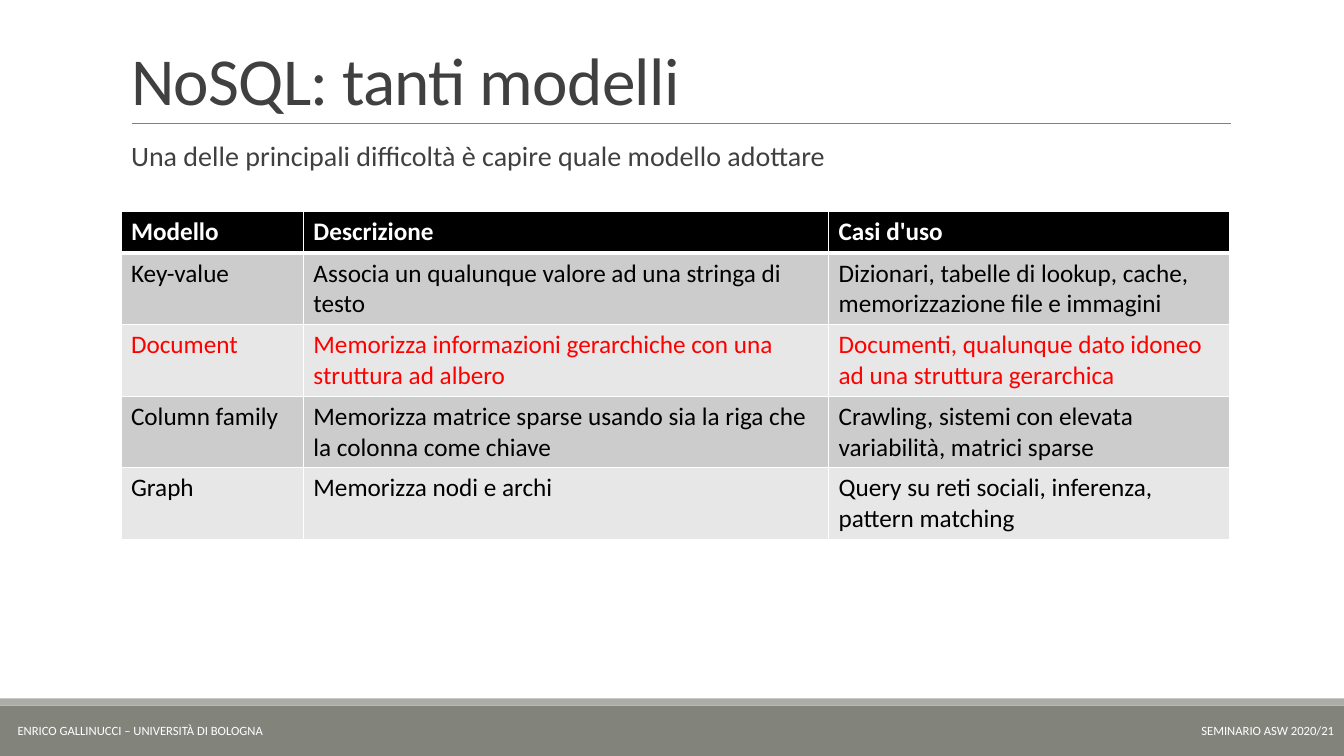
from lxml.etree import SubElement
from pptx import Presentation
from pptx.dml.color import RGBColor
from pptx.enum.shapes import MSO_CONNECTOR as Connector, MSO_SHAPE as Shape
from pptx.enum.text import MSO_ANCHOR as Anchor, MSO_AUTO_SIZE as AutoSize, PP_ALIGN as Align
from pptx.oxml.ns import qn
from pptx.util import Inches, Pt

WHITE = RGBColor(0xFF, 0xFF, 0xFF)
BLACK = RGBColor(0x00, 0x00, 0x00)
RED = RGBColor(0xFF, 0x00, 0x00)
DARK_GREY = RGBColor(0x40, 0x40, 0x40)
RULE_GREY = RGBColor(0x80, 0x80, 0x80)
FOOTER_GREY = RGBColor(0x82, 0x84, 0x7C)
STRIPE_GREY = RGBColor(0xAC, 0xAD, 0xA8)
BAND_DARK = RGBColor(0xCC, 0xCC, 0xCC)
BAND_LIGHT = RGBColor(0xE7, 0xE7, 0xE7)
BULLET_TEAL = RGBColor(0x9D, 0xBF, 0xBE)

COLUMNS, ROWS = 133.33, 75
LEFT, WIDTH = 12, 110
FOOTER_WIDTH = 27.8
TABLE_COLUMNS = [18.1, 52.1, 39.8]
HEADER_HEIGHT, ROW_HEIGHT = 4.1, 7
HIGHLIGHTED_MODEL = "Document"

MODELS = [
    ("Modello", "Descrizione", "Casi d'uso"),
    ("Key-value", "Associa un qualunque valore ad una stringa di testo",
     "Dizionari, tabelle di lookup, cache, memorizzazione file e immagini"),
    ("Document", "Memorizza informazioni gerarchiche con una struttura ad albero",
     "Documenti, qualunque dato idoneo ad una struttura gerarchica"),
    ("Column family", "Memorizza matrice sparse usando sia la riga che la colonna come chiave",
     "Crawling, sistemi con elevata variabilità, matrici sparse"),
    ("Graph", "Memorizza nodi e archi",
     "Query su reti sociali, inferenza, pattern matching"),
]


def grid(units):
    """Turn grid units, each a tenth of an inch, into a length."""
    return Inches(units / 10)


class SlideBuilder:
    """Holds the font and the current slide, and places elements on the grid."""

    def __init__(self, presentation, font="Calibri"):
        self.font = font
        self.slide = presentation.slides.add_slide(presentation.slide_layouts[1])

    def add_text(self, paragraph, text, size, color, bold=False):
        run = paragraph.add_run()
        run.text = text
        run.font.name = self.font
        run.font.size = Pt(size)
        run.font.bold = bold
        run.font.color.rgb = color
        return run

    def place(self, shape, left, top, width, height):
        shape.left, shape.top = grid(left), grid(top)
        shape.width, shape.height = grid(width), grid(height)
        shape.text_frame.auto_size = AutoSize.NONE
        return shape.text_frame

    def title(self, text, *box):
        frame = self.place(self.slide.shapes.title, *box)
        frame.vertical_anchor = Anchor.BOTTOM
        paragraph = frame.paragraphs[0]
        paragraph.alignment = Align.LEFT
        paragraph.line_spacing = 0.85
        run = self.add_text(paragraph, text, 48, DARK_GREY)
        run.font._element.set("spc", "-50")

    def body(self, text, *box):
        frame = self.place(self.slide.placeholders[1], *box)
        frame.margin_left = frame.margin_right = 0
        paragraph = frame.paragraphs[0]
        paragraph.line_spacing = 0.9
        paragraph.space_before, paragraph.space_after = Pt(12), Pt(2)
        properties = paragraph._p.get_or_add_pPr()
        properties.set("marL", str(grid(1)))
        properties.set("indent", str(-grid(1)))
        bullet_color = SubElement(properties, qn("a:buClr"))
        SubElement(bullet_color, qn("a:srgbClr"), val=str(BULLET_TEAL))
        SubElement(properties, qn("a:buChar"), char=" ")
        self.add_text(paragraph, text, 20, DARK_GREY)

    def band(self, color, top, height):
        shape = self.slide.shapes.add_shape(
            Shape.RECTANGLE, 0, grid(top), grid(COLUMNS), grid(height))
        shape.shadow.inherit = False
        shape.fill.solid()
        shape.fill.fore_color.rgb = color
        shape.line.fill.background()

    def rule(self, left, right, top):
        line = self.slide.shapes.add_connector(
            Connector.STRAIGHT, grid(left), grid(top), grid(right), grid(top))
        line.line.color.rgb = RULE_GREY
        line.line.width = Pt(0.5)
        SubElement(line._element.spPr, qn("a:effectLst"))

    def footer(self, text, left, alignment):
        box = self.slide.shapes.add_textbox(0, 0, 0, 0)
        frame = self.place(box, left, 70.5, FOOTER_WIDTH, 4)
        frame.word_wrap = True
        frame.vertical_anchor = Anchor.MIDDLE
        paragraph = frame.paragraphs[0]
        paragraph.alignment = alignment
        self.add_text(paragraph, text, 9, WHITE)

    def borders(self, cell, top, bottom):
        properties = cell._tc.get_or_add_tcPr()
        for side, width in (("L", 1), ("R", 1), ("T", top), ("B", bottom)):
            line = SubElement(properties, qn(f"a:ln{side}"), w=str(Pt(width)))
            fill = SubElement(line, qn("a:solidFill"))
            SubElement(fill, qn("a:srgbClr"), val=str(WHITE))

    def table(self, records, left, top):
        height = HEADER_HEIGHT + ROW_HEIGHT * (len(records) - 1)
        table = self.slide.shapes.add_table(
            len(records), len(TABLE_COLUMNS),
            grid(left), grid(top), grid(WIDTH), grid(height)).table
        for column, width in zip(table.columns, TABLE_COLUMNS):
            column.width = grid(width)
        for index, record in enumerate(records):
            header = index == 0
            table.rows[index].height = grid(HEADER_HEIGHT if header else ROW_HEIGHT)
            if header:
                fill, color = BLACK, WHITE
            else:
                fill = BAND_DARK if index % 2 else BAND_LIGHT
                color = RED if record[0] == HIGHLIGHTED_MODEL else BLACK
            for cell, text in zip(table.rows[index].cells, record):
                self.borders(cell, top=3 if index == 1 else 1, bottom=3 if header else 1)
                cell.fill.solid()
                cell.fill.fore_color.rgb = fill
                self.add_text(cell.text_frame.paragraphs[0], text, 18, color, bold=header)


def main():
    presentation = Presentation()
    presentation.slide_width, presentation.slide_height = grid(COLUMNS), grid(ROWS)
    builder = SlideBuilder(presentation)
    builder.band(FOOTER_GREY, 70, 5)
    builder.band(STRIPE_GREY, 69.3, 0.7)
    builder.rule(13.1, 122.1, 12.2)
    builder.footer("SEMINARIO ASW 2020/21", COLUMNS - FOOTER_WIDTH, Align.RIGHT)
    builder.footer("ENRICO GALLINUCCI – UNIVERSITÀ DI BOLOGNA", 0, Align.CENTER)
    builder.title("NoSQL: tanti modelli", LEFT, 4, WIDTH, 8.3)
    builder.body("Una delle principali difficoltà è capire quale modello adottare",
                 LEFT, 13.6, WIDTH, 50.6)
    builder.table(MODELS, LEFT, 21)
    presentation.save("out.pptx")


if __name__ == "__main__":
    main()
